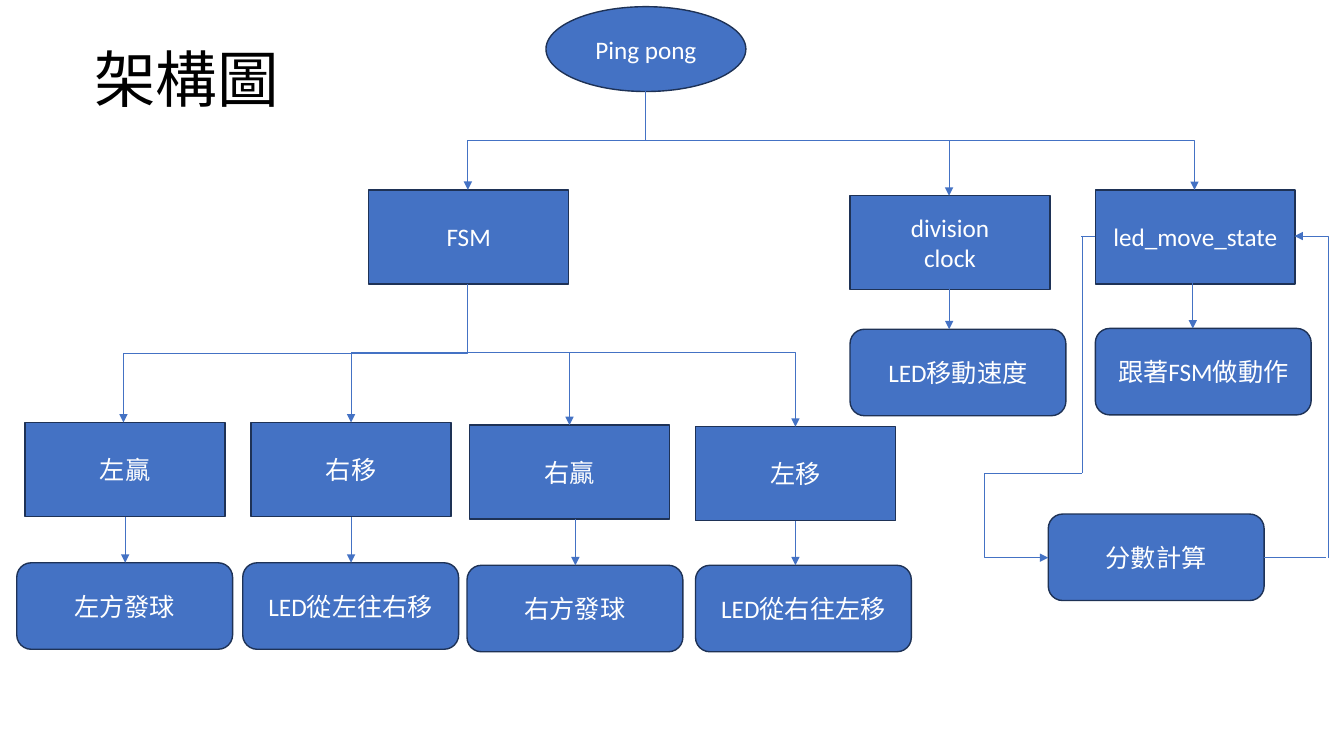
from pptx import Presentation
from pptx.dml.color import RGBColor
from pptx.enum.shapes import MSO_CONNECTOR, MSO_SHAPE
from pptx.enum.text import MSO_ANCHOR, MSO_AUTO_SIZE, PP_ALIGN
from pptx.oxml.ns import qn
from pptx.util import Inches, Pt
from lxml.etree import SubElement

BLUE = RGBColor(0x44, 0x72, 0xC4)
NAVY = RGBColor(0x1E, 0x32, 0x56)
WHITE = RGBColor(0xFF, 0xFF, 0xFF)
BLACK = RGBColor(0x00, 0x00, 0x00)
COLUMNS, ROWS = 160, 90
BLOCK = (23.8, 11.2)
ACTION = (25.7, 10.3)


class Diagram:
    font = "Calibri"

    def __init__(self, prs):
        self.cell_w = prs.slide_width / COLUMNS
        self.cell_h = prs.slide_height / ROWS
        self.s = prs.slides.add_slide(prs.slide_layouts[5])

    def x(self, columns):
        return round(columns * self.cell_w)

    def y(self, rows):
        return round(rows * self.cell_h)

    def set_text(self, tf, text, size, color, align):
        tf.text = text
        tf.word_wrap = True
        tf.vertical_anchor = MSO_ANCHOR.MIDDLE
        for p in tf.paragraphs:
            p.alignment = align
            p.font.name = self.font
            p.font.size = Pt(size)
            p.font.color.rgb = color

    def title(self, text, left, top, width, height):
        sp = self.s.shapes.title
        sp.left, sp.top = self.x(left), self.y(top)
        sp.width, sp.height = self.x(width), self.y(height)
        self.set_text(sp.text_frame, text, 44, BLACK, PP_ALIGN.LEFT)
        sp.text_frame.auto_size = MSO_AUTO_SIZE.NONE
        sp.text_frame.paragraphs[0].line_spacing = 0.9

    def node(self, kind, text, left, top, size):
        width, height = size
        sp = self.s.shapes.add_shape(
            kind, self.x(left), self.y(top), self.x(width), self.y(height))
        sp.shadow.inherit = False
        sp.fill.solid()
        sp.fill.fore_color.rgb = BLUE
        sp.line.color.rgb = NAVY
        sp.line.width = Pt(1)
        self.set_text(sp.text_frame, text, 18, WHITE, PP_ALIGN.CENTER)

    def block(self, text, left, top):
        self.node(MSO_SHAPE.RECTANGLE, text, left, top, BLOCK)

    def action(self, text, left, top):
        self.node(MSO_SHAPE.ROUNDED_RECTANGLE, text, left, top, ACTION)

    def line(self, x1, y1, x2, y2, arrow="tailEnd", kind=MSO_CONNECTOR.STRAIGHT):
        c = self.s.shapes.add_connector(
            kind, self.x(x1), self.y(y1), self.x(x2), self.y(y2))
        c.line.color.rgb = BLUE
        c.line.width = Pt(0.5)
        if arrow:
            SubElement(c._element.spPr.find(qn("a:ln")), qn("a:" + arrow), type="triangle")
        SubElement(c._element.spPr, qn("a:effectLst"))
        return c

    def corner(self, x1, y1, x2, y2, arrow="tailEnd"):
        c = self.line(x1, y1, x2, y2, arrow, MSO_CONNECTOR.ELBOW)
        c._element.spPr.find(qn("a:prstGeom")).set("prst", "bentConnector2")

    def step_down_left(self, x1, y1, x2, y2):
        mid_x, mid_y = (x1 + x2) / 2, (y1 + y2) / 2
        half_w, half_h = (y2 - y1) / 2, (x1 - x2) / 2
        c = self.line(mid_x - half_w, mid_y - half_h, mid_x + half_w,
                      mid_y + half_h, kind=MSO_CONNECTOR.ELBOW)
        c._element.spPr.find(qn("a:xfrm")).set("rot", "5400000")


def main():
    prs = Presentation()
    prs.slide_width, prs.slide_height = Inches(13.33), Inches(7.5)
    d = Diagram(prs)
    d.title("架構圖", 10, 1.1, 138, 17.4)

    d.node(MSO_SHAPE.OVAL, "Ping pong", 65, 0.8, (23.8, 10.1))
    for text, left, top in [("FSM", 43.9, 22.6), ("division\nclock", 101.2, 23.3),
                            ("led_move_state", 130.4, 22.6)]:
        d.block(text, left, top)
    d.step_down_left(76.8, 10.8, 55.7, 22.6)
    d.corner(76.8, 16.7, 113, 23.3)
    d.corner(113, 16.7, 142.2, 22.6)

    states = [("左贏", 3, 50.3, "左方發球", 2, 67, 14.9),
              ("右移", 29.9, 50.3, "LED從左往右移", 28.9, 67, 41.8),
              ("右贏", 55.9, 50.6, "右方發球", 55.6, 67.3, 68.5),
              ("左移", 82.8, 50.8, "LED從右往左移", 82.8, 67.3, 94.7)]
    for state, left, top, result, result_left, result_top, arrow_x in states:
        d.block(state, left, top)
        d.action(result, result_left, result_top)
        d.line(arrow_x, top + BLOCK[1], arrow_x, result_top)

    d.step_down_left(55.6, 33.8, 14.7, 50.3)
    d.corner(55.6, 42, 41.8, 50.3)
    d.line(67.8, 42, 67.8, 50.6)
    d.corner(55.6, 42, 94.7, 50.8)

    for text, left, top, arrow_x in [("LED移動速度", 101.2, 39.2, 113),
                                     ("跟著FSM做動作", 130.4, 39.1, 142)]:
        d.action(text, left, top)
        d.line(arrow_x, top - 5.5, arrow_x, top)

    d.action("分數計算", 124.8, 61.2)
    for ends in [(130.4, 28.1, 128.7, 28.1), (128.8, 28.1, 128.8, 56.3),
                 (128.8, 56.3, 117.2, 56.3), (150.5, 66.4, 157.8, 66.4)]:
        d.line(*ends, arrow=None)
    d.corner(124.8, 66.4, 117.2, 56.3, arrow="headEnd")
    d.corner(154.1, 28.1, 158.1, 66.4, arrow="headEnd")

    prs.save("out.pptx")


if __name__ == "__main__":
    main()
